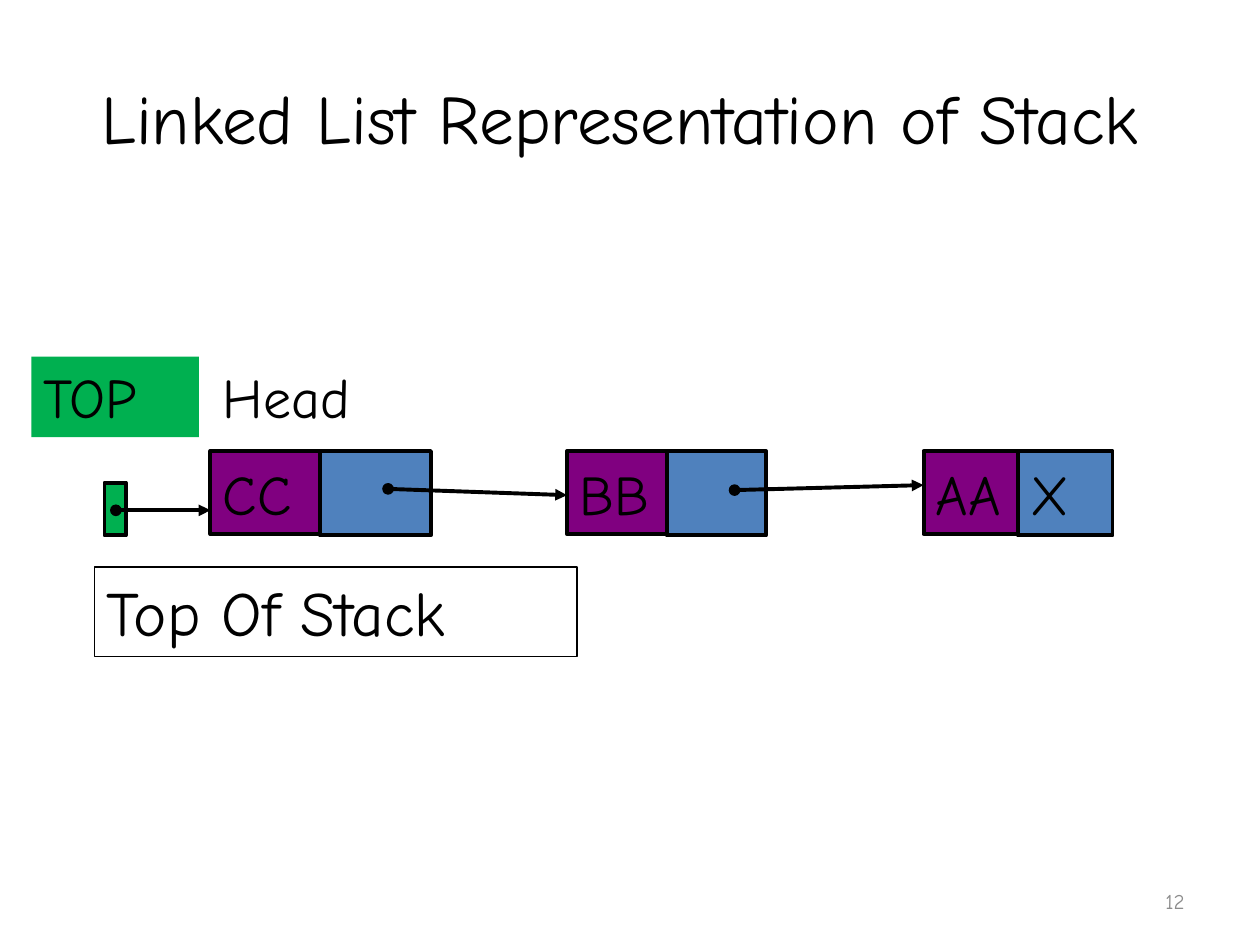
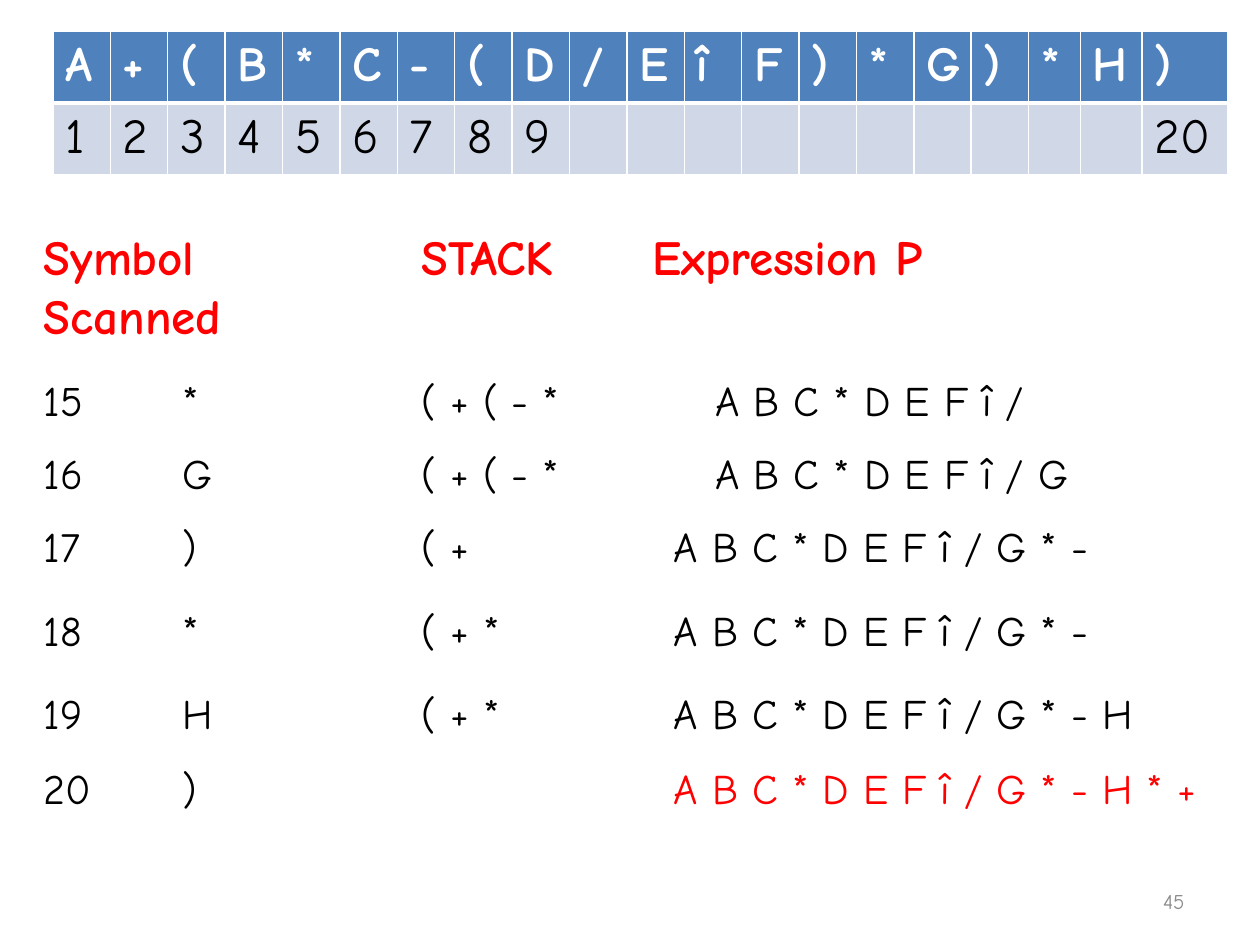
from lxml.etree import SubElement
from pptx import Presentation
from pptx.dml.color import RGBColor
from pptx.enum.shapes import MSO_CONNECTOR, MSO_SHAPE
from pptx.enum.text import MSO_ANCHOR, PP_ALIGN
from pptx.oxml.ns import qn
from pptx.util import Inches, Pt

FONT = "Comic Neue"
BLACK = RGBColor(0x00, 0x00, 0x00)
WHITE = RGBColor(0xFF, 0xFF, 0xFF)
GREY = RGBColor(0x8C, 0x8C, 0x8C)
RED = RGBColor(0xFF, 0x00, 0x00)
BLUE = RGBColor(0x4F, 0x81, 0xBD)
PALE_BLUE = RGBColor(0xD0, 0xD8, 0xE8)
PURPLE = RGBColor(0x80, 0x00, 0x80)
GREEN = RGBColor(0x00, 0xB0, 0x50)

# Linked list: left, data width, link width, data text, link text
TITLE = "Linked List Representation of Stack"
NODES = [
    (1.67, 0.87, 0.88, "CC", ""),
    (4.5, 0.79, 0.79, "BB", ""),
    (7.33, 0.75, 0.75, "AA", "X"),
]
NODE_TOP, DATA_HEIGHT, LINK_HEIGHT = 3.58, 0.66, 0.67
ARROWS = [
    ((0.92, 4.05), (1.67, 4.05)),
    ((3.08, 3.88), (4.5, 3.93)),
    ((5.83, 3.89), (7.33, 3.85)),
]

# Infix expression and the steps that scan it
SYMBOLS = "A+(B*C-(D/EîF)*G)*H)"
POSITIONS = [str(n) if n < 10 or n == 20 else "" for n in range(1, 21)]
TABLE_WIDTH, LAST_COLUMNS = 9.33, [0.41, 0.49, 0.68]
HEADINGS = ["Symbol\tSTACK\tExpression P", "Scanned"]
HEADING_TABS = [3.0, 4.83]
STEPS = [  # top, position, symbol, stack, expression P
    (2.92, "15", "*", "( + ( - *", "A B C * D E F î /"),
    (3.5, "16", "G", "( + ( - *", "A B C * D E F î / G"),
    (4.08, "17", ")", "( +", "A B C * D E F î / G * -"),
    (4.75, "18", "*", "( + *", "A B C * D E F î / G * -"),
    (5.41, "19", "H", "( + *", "A B C * D E F î / G * - H"),
    (6.0, "20", ")", "", "A B C * D E F î / G * - H * +"),
]
WIDE_STEPS = ("15", "16")  # their expression starts further right


def style(font, size, color=BLACK, bold=False):
    font.name, font.size, font.bold = FONT, Pt(size), bold
    font.color.rgb = color


def write(shape, lines, size, color=BLACK, bold=False, align=PP_ALIGN.LEFT,
          anchor=MSO_ANCHOR.TOP, wrap=True, tabs=()):
    frame = shape.text_frame
    frame.text = "\n".join(lines)
    frame.word_wrap, frame.vertical_anchor = wrap, anchor
    for paragraph in frame.paragraphs:
        paragraph.alignment = align
        if tabs:
            tab_list = SubElement(paragraph._p.get_or_add_pPr(), qn("a:tabLst"))
            for position in tabs:
                SubElement(tab_list, qn("a:tab"), pos=str(Inches(position)), algn="l")
        for run in paragraph.runs:
            style(run.font, size, color, bold)


def add_text(slide, box, lines, size, **options):
    shape = slide.shapes.add_textbox(*map(Inches, box))
    write(shape, lines, size, **options)
    return shape


def add_box(slide, box, fill, line_width=2.25, text="", size=32, **options):
    shape = slide.shapes.add_shape(MSO_SHAPE.RECTANGLE, *map(Inches, box))
    shape.shadow.inherit = False
    shape.fill.solid()
    shape.fill.fore_color.rgb = fill
    if line_width:
        shape.line.color.rgb = BLACK
        shape.line.width = Pt(line_width)
    else:
        shape.line.fill.background()
    if text:
        write(shape, [text], size, **options)


def add_arrow(slide, start, end):
    arrow = slide.shapes.add_connector(
        MSO_CONNECTOR.STRAIGHT, *map(Inches, start + end))
    arrow.line.color.rgb = BLACK
    arrow.line.width = Pt(2.25)
    line = arrow.line._get_or_add_ln()
    SubElement(line, qn("a:headEnd"), type="oval")
    SubElement(line, qn("a:tailEnd"), type="triangle")
    SubElement(arrow._element.spPr, qn("a:effectLst"))


def set_borders(cell, widths):
    properties = cell._tc.get_or_add_tcPr()
    for index, (side, width) in enumerate(widths.items()):
        line = properties.makeelement(qn("a:" + side), {"w": str(Pt(width))})
        fill = SubElement(line, qn("a:solidFill"))
        SubElement(fill, qn("a:srgbClr"), val=str(WHITE))
        properties.insert(index, line)


def add_slide(presentation, number):
    slide = presentation.slides.add_slide(presentation.slide_layouts[6])
    add_text(slide, (7.17, 6.95, 2.33, 0.4), [number], 12, color=GREY,
             align=PP_ALIGN.RIGHT, anchor=MSO_ANCHOR.MIDDLE)
    return slide


def build_linked_list(presentation):
    slide = add_slide(presentation, "12")
    add_text(slide, (0.42, 0.3, 9, 1.25), [TITLE], 39.6,
             align=PP_ALIGN.CENTER, anchor=MSO_ANCHOR.MIDDLE)

    # Nodes and the pointer to the first one
    inside = {"anchor": MSO_ANCHOR.MIDDLE, "wrap": False}
    for left, data_width, link_width, data, link in NODES:
        add_box(slide, (left + data_width, NODE_TOP, link_width, LINK_HEIGHT),
                BLUE, text=link, **inside)
        add_box(slide, (left, NODE_TOP, data_width, DATA_HEIGHT),
                PURPLE, text=data, **inside)
    add_box(slide, (0.83, 3.83, 0.17, 0.42), GREEN)
    for start, end in ARROWS:
        add_arrow(slide, start, end)

    # Labels
    add_box(slide, (0.25, 2.83, 1.33, 0.64), GREEN, line_width=0, text="TOP")
    add_box(slide, (0.75, 4.5, 3.83, 0.71), WHITE, line_width=1,
            text="Top Of Stack", size=36)
    add_text(slide, (1.67, 2.83, 1.33, 0.64), ["Head"], 32)


def add_symbol_table(slide):
    frame = slide.shapes.add_table(
        2, len(SYMBOLS), Inches(0.42), Inches(0.25), Inches(TABLE_WIDTH), Inches(1.13))
    table = frame.table
    even_count = len(SYMBOLS) - len(LAST_COLUMNS)
    even_width = (TABLE_WIDTH - sum(LAST_COLUMNS)) / even_count
    for column, width in zip(table.columns, [even_width] * even_count + LAST_COLUMNS):
        column.width = Inches(width)
    rows = [(SYMBOLS, BLUE, WHITE, True, 3), (POSITIONS, PALE_BLUE, BLACK, False, 1)]
    for row, (texts, fill, color, bold, bottom) in enumerate(rows):
        for column, text in enumerate(texts):
            cell = table.cell(row, column)
            cell.text = text
            style(cell.text_frame.paragraphs[0].font, 28, color, bold)
            for run in cell.text_frame.paragraphs[0].runs:
                style(run.font, 28, color, bold)
            cell.fill.solid()
            cell.fill.fore_color.rgb = fill
            top = 3 if row else 1
            set_borders(cell, {"lnL": 1, "lnR": 1, "lnT": top, "lnB": bottom})


def build_scan_steps(presentation):
    slide = add_slide(presentation, "45")
    add_symbol_table(slide)
    add_text(slide, (0.25, 1.75, 9.5, 1.28), HEADINGS, 28,
             color=RED, bold=True, tabs=HEADING_TABS)
    for top, *parts in STEPS:
        expression_tab = 5.33 if parts[0] in WIDE_STEPS else 5.0
        shape = add_text(slide, (0.25, top, 9.75, 0.5), ["\t".join(parts[:-1]) + "\t"],
                         24, tabs=(1.1, 3.0, expression_tab))
        run = shape.text_frame.paragraphs[0].add_run()
        run.text = parts[-1]
        style(run.font, 24, RED if parts[0] == "20" else BLACK)


def main():
    presentation = Presentation()
    presentation.slide_width, presentation.slide_height = Inches(10), Inches(7.5)
    build_linked_list(presentation)
    build_scan_steps(presentation)
    presentation.save("out.pptx")


if __name__ == "__main__":
    main()
